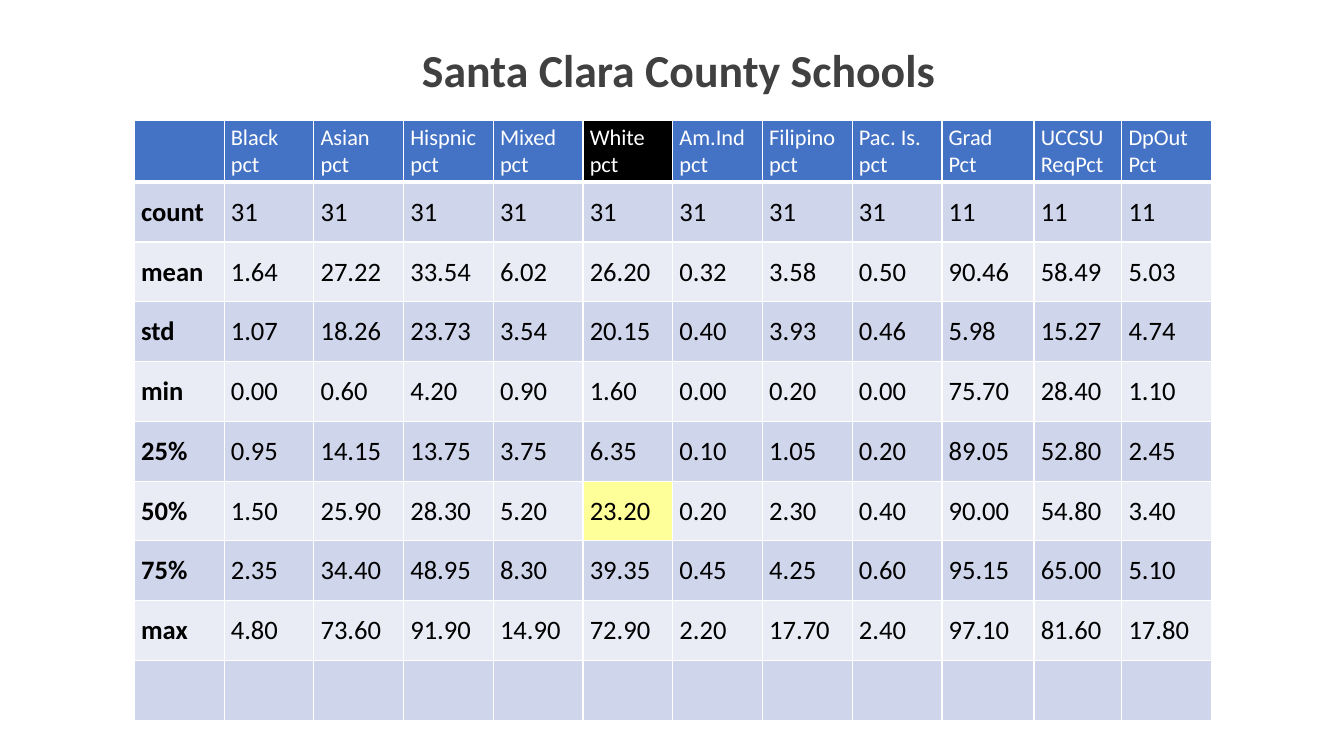
import pptx
import pptx.dml.color
import pptx.enum.text
import pptx.oxml
import pptx.oxml.ns
import pptx.util

Pt = pptx.util.Pt
COLORS = {
    "title": "404040",
    "header": "4472C4",
    "header_text": "FFFFFF",
    "focus_header": "000000",
    "median_mark": "FFFF99",
    "dark_band": "CFD5EA",
    "light_band": "E9EBF5",
    "body_text": "000000",
    "rule": "FFFFFF",
}
HEADINGS = [
    [], ["Black", "pct"], ["Asian", "pct"], ["Hispnic", "pct"],
    ["Mixed", "pct"], ["White", "pct"], ["Am.Ind", "pct"],
    ["Filipino", "pct"], ["Pac. Is.", "pct"], ["Grad", "Pct"],
    ["UCCSU", "ReqPct"], ["DpOut", "Pct"],
]
STATISTICS = """
count 31 31 31 31 31 31 31 31 11 11 11
mean 1.64 27.22 33.54 6.02 26.20 0.32 3.58 0.50 90.46 58.49 5.03
std 1.07 18.26 23.73 3.54 20.15 0.40 3.93 0.46 5.98 15.27 4.74
min 0.00 0.60 4.20 0.90 1.60 0.00 0.20 0.00 75.70 28.40 1.10
25% 0.95 14.15 13.75 3.75 6.35 0.10 1.05 0.20 89.05 52.80 2.45
50% 1.50 25.90 28.30 5.20 23.20 0.20 2.30 0.40 90.00 54.80 3.40
75% 2.35 34.40 48.95 8.30 39.35 0.45 4.25 0.60 95.15 65.00 5.10
max 4.80 73.60 91.90 14.90 72.90 2.20 17.70 2.40 97.10 81.60 17.80
"""
SPECIAL_FILLS = {(0, 5): "focus_header", (6, 5): "median_mark"}


def add_text(paragraph, text, size, color, bold):
    run = paragraph.add_run()
    run.text = text
    run.font.name = "Calibri"
    run.font.size = Pt(size)
    run.font.bold = bold
    run.font.color.rgb = pptx.dml.color.RGBColor.from_string(COLORS[color])


def add_border(cell, side, width):
    cell._tc.get_or_add_tcPr().append(pptx.oxml.parse_xml(
        f'<a:{side} {pptx.oxml.ns.nsdecls("a")} w="{Pt(width)}"><a:solidFill>'
        f'<a:srgbClr val="{COLORS["rule"]}"/></a:solidFill></a:{side}>'))


deck = pptx.Presentation()
deck.slide_width, deck.slide_height = Pt(960), Pt(540)
slide = deck.slides.add_slide(deck.slide_layouts[5])

title = slide.shapes.title
title.left, title.top, title.width, title.height = Pt(294), Pt(26), Pt(381.6), Pt(46.8)
title.text_frame.auto_size = pptx.enum.text.MSO_AUTO_SIZE.NONE
title.text_frame.word_wrap = False
title.text_frame.vertical_anchor = pptx.enum.text.MSO_ANCHOR.MIDDLE
heading = title.text_frame.paragraphs[0]
heading.alignment = pptx.enum.text.PP_ALIGN.CENTER
add_text(heading, "Santa Clara County Schools", 32.7, "title", True)

rows = [HEADINGS]
rows += [[[entry] for entry in line.split()] for line in STATISTICS.strip().splitlines()]
rows.append([[] for _ in HEADINGS])

summary = slide.shapes.add_table(
    len(rows), len(HEADINGS), Pt(96), Pt(86.2), Pt(769), Pt(428.3)).table
for index, column in enumerate(summary.columns):
    column.width = Pt({9: 65.8, 10: 62.7}.get(index, 64.1))
for index, row in enumerate(summary.rows):
    row.height = Pt(42.7 if index else 44)

for r, entries in enumerate(rows):
    band = "header" if r == 0 else "dark_band" if r % 2 else "light_band"
    for c, lines in enumerate(entries):
        cell = summary.cell(r, c)
        for side in ("lnL", "lnR", "lnT", "lnB"):
            add_border(cell, side, 3 if r == 0 and side == "lnB" else 1)
        cell.fill.solid()
        cell.fill.fore_color.rgb = pptx.dml.color.RGBColor.from_string(
            COLORS[SPECIAL_FILLS.get((r, c), band)])
        cell.vertical_anchor = pptx.enum.text.MSO_ANCHOR.MIDDLE
        cell.margin_left = cell.margin_right = Pt(4.8)
        cell.margin_top = cell.margin_bottom = Pt(2.4)
        for i, line in enumerate(lines):
            frame = cell.text_frame
            paragraph = frame.add_paragraph() if i else frame.paragraphs[0]
            if r == 0:
                add_text(paragraph, line, 16, "header_text", False)
            else:
                add_text(paragraph, line, 19, "body_text", c == 0)

deck.save("out.pptx")
